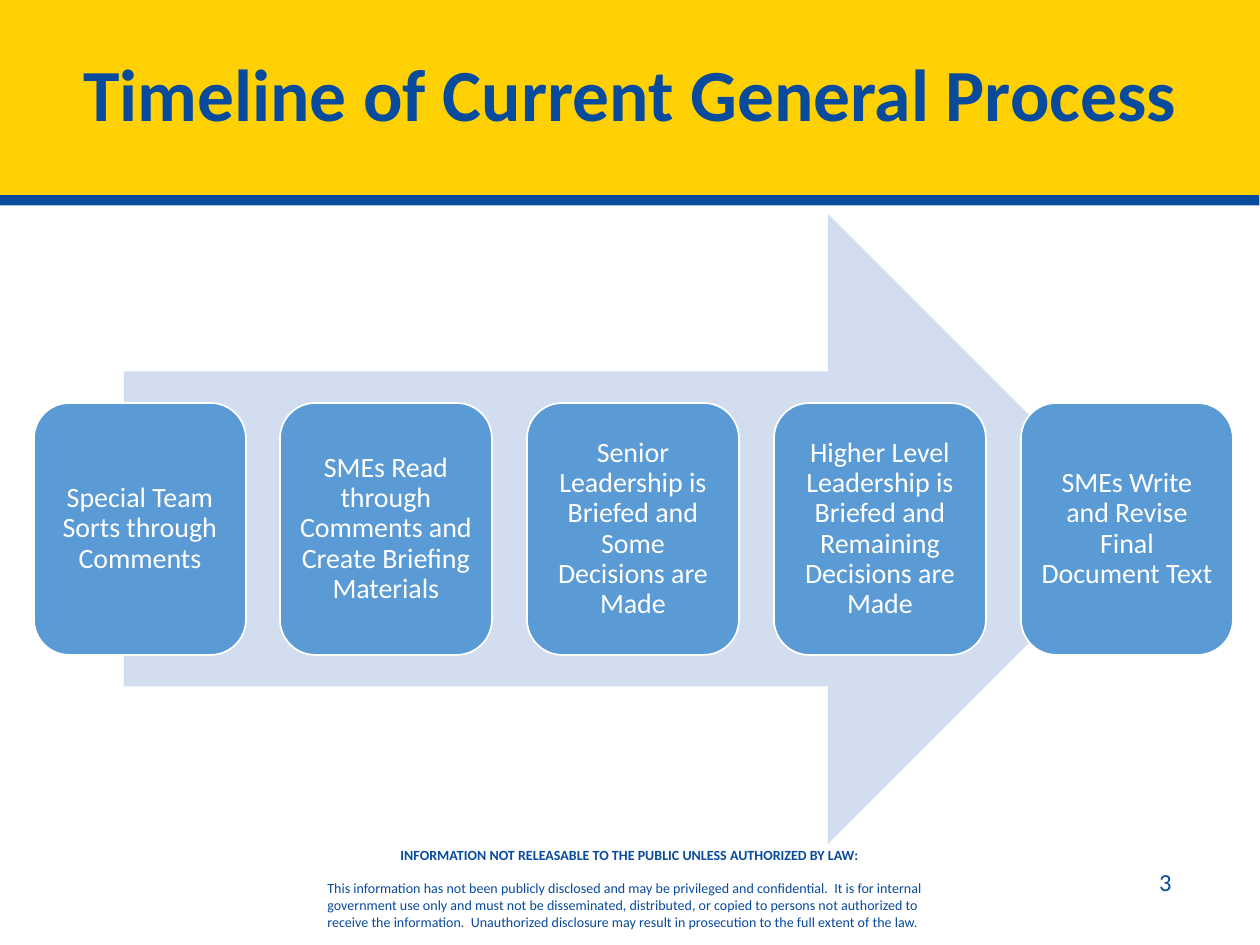
from lxml import etree
from pptx import Presentation
from pptx import util as u
from pptx.dml.color import RGBColor
from pptx.enum import shapes, text
from pptx.oxml import ns

PX = 914400 / 126
FONT = "Calibri"
NAVY = RGBColor(0x08, 0x4A, 0x9C)
GOLD = RGBColor(0xFF, 0xD0, 0x04)
PALE = RGBColor(0xD2, 0xDE, 0xEF)
BLUE = RGBColor(0x5B, 0x9B, 0xD5)
WHITE = RGBColor(0xFF, 0xFF, 0xFF)

STEPS = [
    "Special Team Sorts through Comments",
    "SMEs Read through Comments and Create Briefing Materials",
    "Senior Leadership is Briefed and Some Decisions are Made",
    "Higher Level Leadership is Briefed and Remaining Decisions are Made",
    "SMEs Write and Revise Final Document Text",
]
NOTICE_HEAD = "INFORMATION NOT RELEASABLE TO THE PUBLIC UNLESS AUTHORIZED BY LAW:"
NOTICE_BODY = (
    "This information has not been publicly disclosed and may be privileged and confidential.  "
    "It is for internal government use only and must not be disseminated, distributed, or copied "
    "to persons not authorized to receive the information.  "
    "Unauthorized disclosure may result in prosecution to the full extent of the law."
)


def px(n):
    return u.Emu(round(n * PX))


def add_run(p, words, size, color, bold=False, align=text.PP_ALIGN.CENTER):
    p.alignment = align
    r = p.add_run()
    r.text = words
    r.font.name = FONT
    r.font.size = u.Pt(size)
    r.font.bold = bold
    r.font.color.rgb = color


def add_drop_band(sp, color, distance, angle):
    effects = etree.SubElement(sp._element.spPr, ns.qn("a:effectLst"))
    shadow = etree.SubElement(
        effects, ns.qn("a:outerShdw"), blurRad="0", dist=str(u.Pt(distance)),
        dir=str(angle * 60000), algn="ctr", rotWithShape="0")
    etree.SubElement(shadow, ns.qn("a:srgbClr"), val=str(color))


def format_title(s, words):
    sp = s.shapes.title
    sp.left, sp.top, sp.width, sp.height = px(0), px(0), px(1260), px(195)
    sp.fill.solid()
    sp.fill.fore_color.rgb = GOLD
    add_drop_band(sp, NAVY, 6, 94)
    tf = sp.text_frame
    tf.auto_size = text.MSO_AUTO_SIZE.NONE
    tf.vertical_anchor = text.MSO_ANCHOR.MIDDLE
    tf.paragraphs[0].line_spacing = 0.9
    add_run(tf.paragraphs[0], words, 42, NAVY, bold=True)


def add_block(s, preset, x, y, w, h, fill):
    sp = s.shapes.add_shape(preset, px(x), px(y), px(w), px(h))
    sp.shadow.inherit = False
    sp.fill.solid()
    sp.fill.fore_color.rgb = fill
    sp.line.fill.background()
    return sp


def add_step(s, x, words):
    sp = add_block(s, shapes.MSO_SHAPE.ROUNDED_RECTANGLE, x, 403, 212, 252, BLUE)
    sp.line.color.rgb = WHITE
    sp.line.width = u.Pt(1)
    tf = sp.text_frame
    tf.word_wrap = True
    tf.vertical_anchor = text.MSO_ANCHOR.MIDDLE
    tf.margin_left = tf.margin_right = tf.margin_top = tf.margin_bottom = px(9)
    tf.paragraphs[0].line_spacing = 0.9
    add_run(tf.paragraphs[0], words, 16, WHITE)


def add_text(s, x, y, w, h):
    tf = s.shapes.add_textbox(px(x), px(y), px(w), px(h)).text_frame
    tf.word_wrap = True
    return tf


def add_notice(s):
    tf = add_text(s, 315, 840, 630, 115)
    add_run(tf.paragraphs[0], NOTICE_HEAD, 8, NAVY, bold=True)
    p = tf.add_paragraph()
    p.space_before = u.Pt(9.75)
    add_run(p, NOTICE_BODY, 8, NAVY, align=text.PP_ALIGN.LEFT)


def main():
    prs = Presentation()
    prs.slide_width, prs.slide_height = px(1260), px(945)
    s = prs.slides.add_slide(prs.slide_layouts[5])
    add_notice(s)
    add_run(add_text(s, 1134, 861, 63, 43).paragraphs[0], "3", 14, NAVY)
    format_title(s, "Timeline of Current General Process")
    add_block(s, shapes.MSO_SHAPE.RIGHT_ARROW, 124, 214, 1019, 630, PALE)
    left, last = 34, 1021
    for i, words in enumerate(STEPS):
        add_step(s, left + i * (last - left) // (len(STEPS) - 1), words)
    prs.save("out.pptx")


if __name__ == "__main__":
    main()
